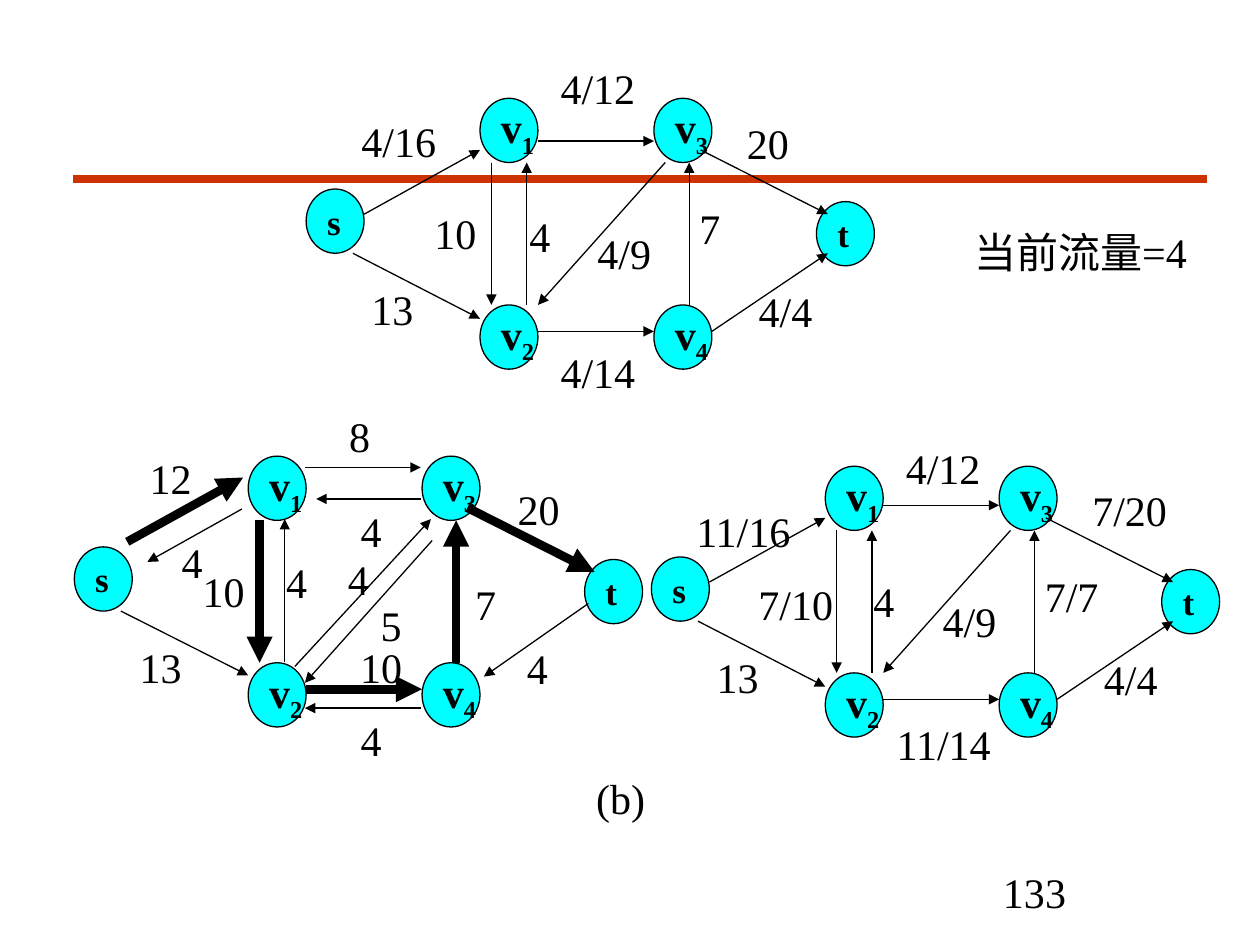
from lxml.etree import SubElement
from pptx import Presentation
from pptx.dml.color import RGBColor
from pptx.enum.shapes import MSO_CONNECTOR, MSO_SHAPE
from pptx.enum.text import MSO_ANCHOR, MSO_AUTO_SIZE, PP_ALIGN
from pptx.oxml.ns import qn
from pptx.util import Emu, Pt

PX = 9144
SLIDE_SIZE = (1000, 750)
NODE_SIZE = (46, 51)
LABEL_HEIGHT = 50
LABEL_WIDTHS = {1: 37, 2: 53, 3: 63, 4: 79, 5: 96}

THEME = {
    "node": RGBColor(0x00, 0xFF, 0xFF),
    "ink": RGBColor(0x00, 0x00, 0x00),
    "rule": RGBColor(0xCC, 0x33, 0x00),
    "font": "Times New Roman",
    "label": Pt(24),
    "terminal": Pt(20),
    "thin": Pt(0.75),
    "path": Pt(5),
    "rule_width": Pt(4.5),
}
LABEL_FONT = {"name": THEME["font"], "size": THEME["label"]}
VERTEX_FONT = {**LABEL_FONT, "bold": True}
TERMINAL_FONT = {**VERTEX_FONT, "size": THEME["terminal"]}
LABEL_FRAME = {"auto_size": MSO_AUTO_SIZE.SHAPE_TO_FIT_TEXT}
NODE_FRAME = {"word_wrap": False, "vertical_anchor": MSO_ANCHOR.MIDDLE}

NODES = [
    ("s", 0, 72), ("v2", 138, 164), ("v4", 276, 164),
    ("t", 405, 82), ("v3", 276, 0), ("v1", 138, 0),
]
FLOW_EDGES = [
    (46, 92, 138, 41), (313, 41, 414, 92), (37, 123, 138, 175),
    (184, 185, 276, 185), (322, 185, 414, 123), (147, 51, 147, 164),
    (175, 164, 175, 51), (304, 164, 304, 51), (285, 51, 184, 164),
]
GRAPHS = [
    {
        "origin": (59, 362),
        "edges": [
            (133, 42, 58, 84), (183, 9, 275, 9), (275, 34, 192, 34),
            (37, 123, 138, 174), (275, 200, 183, 200), (167, 163, 167, 50),
            (284, 67, 183, 180), (175, 167, 283, 50), (408, 117, 325, 175),
        ],
        "augmenting": [
            (42, 68, 134, 17), (147, 51, 147, 164), (184, 185, 276, 185),
            (303, 164, 303, 51), (312, 41, 413, 92),
        ],
        "labels": [
            ("5", 292, 471), ("12", 109, 354), ("13", 101, 504), ("8", 267, 321),
            ("10", 151, 444), ("4", 217, 437), ("20", 401, 379), ("4", 408, 505),
            ("7", 367, 454), ("4", 276, 562), ("4", 134, 421), ("4", 276, 396),
            ("4", 266, 434), ("10", 276, 504),
        ],
    },
    {
        "origin": (517, 370),
        "edges": FLOW_EDGES + [(184, 31, 276, 31)],
        "augmenting": [],
        "labels": [
            ("4/9", 738, 468), ("11/16", 542, 396), ("13", 559, 512),
            ("4/12", 709, 346), ("7/10", 592, 454), ("4", 683, 452),
            ("7/20", 857, 380), ("4/4", 866, 514), ("7/7", 819, 448),
            ("11/14", 701, 565),
        ],
    },
    {
        "origin": (243, 78),
        "edges": FLOW_EDGES + [(184, 34, 276, 34)],
        "augmenting": [],
        "labels": [
            ("4/9", 464, 176), ("4/16", 277, 87), ("13", 285, 220),
            ("4/12", 435, 45), ("10", 335, 160), ("4", 410, 162),
            ("20", 583, 88), ("4/4", 592, 222), ("7", 545, 156),
            ("4/14", 435, 270),
        ],
    },
]
CAPTIONS = [("133", 717, 683, 208), ("(b)", 463, 608, 59), ("当前流量=4", 755, 175, 205)]
RULE = (58, 142, 958, 142)


def px(*lengths):
    return [Emu(length * PX) for length in lengths]


def set_values(target, values):
    for name, value in values.items():
        setattr(target, name, value)


def add_text(paragraph, text, font):
    run = paragraph.add_run()
    run.text = text
    set_values(run.font, font)
    run.font.color.rgb = THEME["ink"]
    return run


def add_label(shapes, text, left, top, width=None):
    fixed = width is not None
    width = width or LABEL_WIDTHS[len(text)]
    label = shapes.add_textbox(*px(left, top, width, LABEL_HEIGHT))
    set_values(label.text_frame, {**LABEL_FRAME, "word_wrap": fixed})
    paragraph = label.text_frame.paragraphs[0]
    paragraph.alignment = PP_ALIGN.CENTER
    add_text(paragraph, text, LABEL_FONT)


def add_node(shapes, name, left, top):
    node = shapes.add_shape(MSO_SHAPE.OVAL, *px(left, top, *NODE_SIZE))
    node.shadow.inherit = False
    node.fill.solid()
    node.fill.fore_color.rgb = THEME["node"]
    node.line.color.rgb = THEME["ink"]
    node.line.width = THEME["thin"]
    set_values(node.text_frame, NODE_FRAME)
    paragraph = node.text_frame.paragraphs[0]
    paragraph.alignment = PP_ALIGN.LEFT
    letter, index = name[0], name[1:]
    add_text(paragraph, letter, VERTEX_FONT if index else TERMINAL_FONT)
    if index:
        subscript = add_text(paragraph, index, VERTEX_FONT)
        subscript._r.get_or_add_rPr().set("baseline", "-25000")


def add_line(shapes, ends, color, width, arrow=True):
    line = shapes.add_connector(MSO_CONNECTOR.STRAIGHT, *px(*ends))
    line.line.color.rgb = color
    line.line.width = width
    properties = line._element.spPr
    if arrow:
        SubElement(properties.find(qn("a:ln")), qn("a:tailEnd"), type="triangle")
    SubElement(properties, qn("a:effectLst"))


def add_graph(slide, graph):
    shapes = slide.shapes.add_group_shape().shapes
    x, y = graph["origin"]
    for name, left, top in NODES:
        add_node(shapes, name, x + left, y + top)
    for kind, width in (("edges", "thin"), ("augmenting", "path")):
        for x1, y1, x2, y2 in graph[kind]:
            ends = (x + x1, y + y1, x + x2, y + y2)
            add_line(shapes, ends, THEME["ink"], THEME[width])
    for label in graph["labels"]:
        add_label(shapes, *label)


def main():
    deck = Presentation()
    deck.slide_width, deck.slide_height = px(*SLIDE_SIZE)
    slide = deck.slides.add_slide(deck.slide_layouts[6])
    add_line(slide.shapes, RULE, THEME["rule"], THEME["rule_width"], arrow=False)
    for graph in GRAPHS:
        add_graph(slide, graph)
    for caption in CAPTIONS:
        add_label(slide.shapes, *caption)
    deck.save("out.pptx")


if __name__ == "__main__":
    main()
